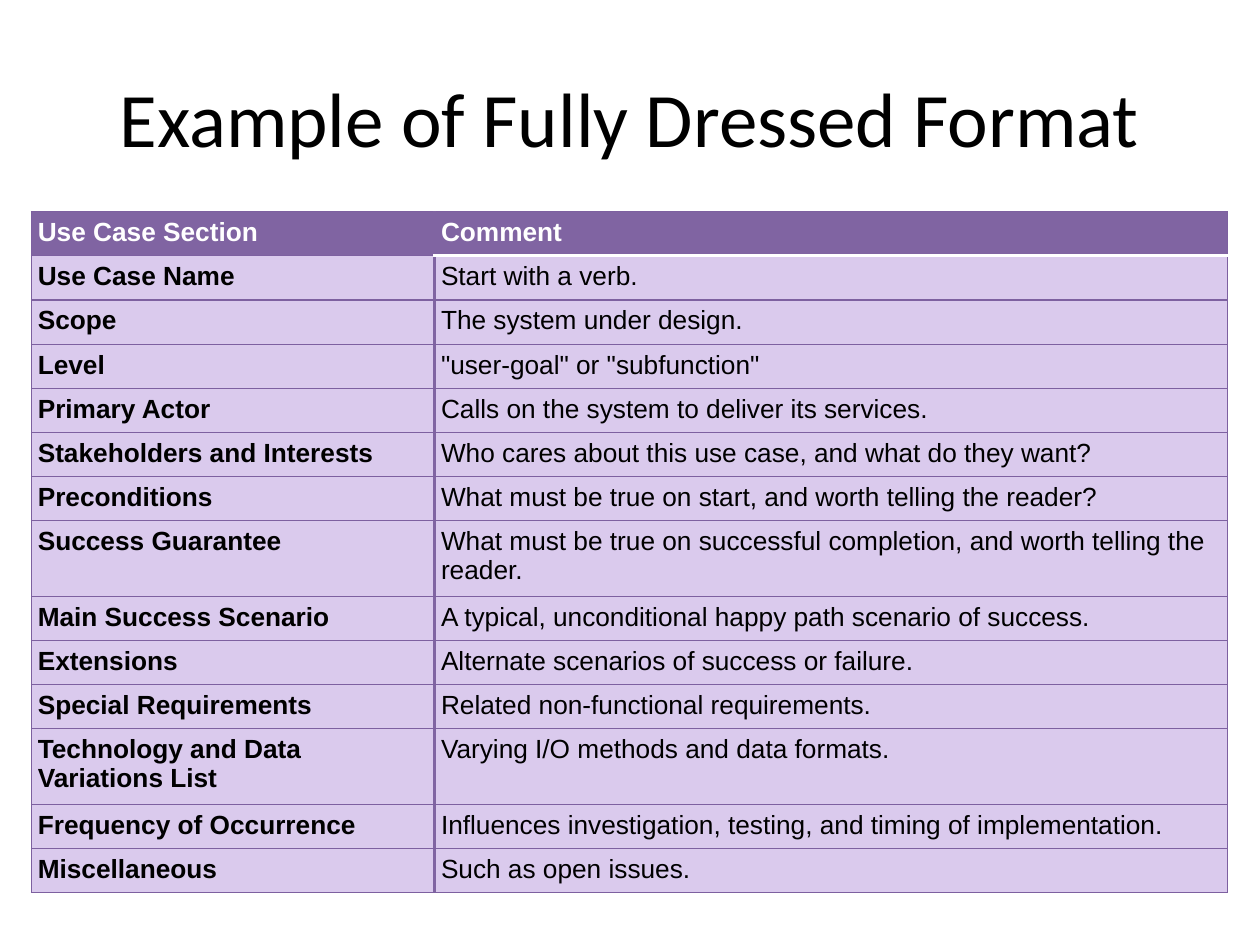
from lxml import etree
from pptx import Presentation
from pptx.dml.color import RGBColor
from pptx.enum import text
from pptx.oxml.ns import qn
from pptx.util import Inches, Pt

COLORS = {"header": "8064A2", "body": "DACAED", "rule": "7D60A0",
          "white": "FFFFFF", "black": "000000"}
WIDTH, HEIGHT = Inches(10), Inches(7.5)

# Row heights as shares of the slide's height
SHORT, NORMAL, DOUBLE = 0.0444, 0.0467, 0.0747
COLUMN_SHARES = (0.32, 0.629)

SECTIONS = [
    ("Use Case Section", "Comment", SHORT),
    ("Use Case Name", "Start with a verb.", SHORT),
    ("Scope", "The system under design.", SHORT),
    ("Level", '"user-goal" or "subfunction"', SHORT),
    ("Primary Actor", "Calls on the system to deliver its services.", NORMAL),
    ("Stakeholders and Interests",
     "Who cares about this use case, and what do they want?", NORMAL),
    ("Preconditions",
     "What must be true on start, and worth telling the reader?", NORMAL),
    ("Success Guarantee",
     "What must be true on successful completion, and worth telling the reader.", DOUBLE),
    ("Main Success Scenario",
     "A typical, unconditional happy path scenario of success.", NORMAL),
    ("Extensions", "Alternate scenarios of success or failure.", NORMAL),
    ("Special Requirements", "Related non-functional requirements.", NORMAL),
    ("Technology and Data Variations List",
     "Varying I/O methods and data formats.", DOUBLE),
    ("Frequency of Occurrence",
     "Influences investigation, testing, and timing of implementation.", NORMAL),
    ("Miscellaneous", "Such as open issues.", SHORT),
]


def color(name):
    return RGBColor.from_string(COLORS[name])


def style_font(paragraph, face, size, ink, bold=False):
    font = paragraph.font
    font.name, font.size, font.bold = face, Pt(size), bold
    font.color.rgb = color(ink)


def set_borders(cell, sides):
    """Draw the sides, given as {side: (colour name, points)}."""
    properties = cell._tc.get_or_add_tcPr()
    for side in "LRTB":
        name, points = sides[side]
        line = etree.SubElement(properties, qn(f"a:ln{side}"), w=str(Pt(points)))
        fill = etree.SubElement(line, qn("a:solidFill"))
        etree.SubElement(fill, qn("a:srgbClr"), val=COLORS[name])


def cell_borders(row, column):
    sides = dict.fromkeys("LRTB", ("rule", 0.75))
    sides["R" if column == 0 else "L"] = ("header", 2)
    # White rule between the comment heading and its first entry
    if column == 1 and row < 2:
        sides["B" if row == 0 else "T"] = ("white", 2)
    return sides


def add_title(slide, left, top, width, height):
    frame = slide.shapes.add_textbox(left, top, width, height).text_frame
    frame.word_wrap = True
    frame.vertical_anchor = text.MSO_ANCHOR.MIDDLE
    heading = frame.paragraphs[0]
    heading.text = "Example of Fully Dressed Format"
    heading.alignment = text.PP_ALIGN.CENTER
    style_font(heading, "Calibri", 44, "black")


def add_sections(slide, left, top, width, height):
    table = slide.shapes.add_table(
        len(SECTIONS), 2, left, top, width, height).table
    for column, share in zip(table.columns, COLUMN_SHARES):
        column.width = int(WIDTH * share)
    for row, (section, comment, share) in enumerate(SECTIONS):
        table.rows[row].height = int(HEIGHT * share)
        for column, wording in enumerate((section, comment)):
            cell = table.cell(row, column)
            cell.margin_left = cell.margin_right = Inches(0.05)
            cell.margin_top = cell.margin_bottom = Inches(0.05)
            set_borders(cell, cell_borders(row, column))
            cell.fill.solid()
            cell.fill.fore_color.rgb = color("header" if row == 0 else "body")
            cell.text = wording
            style_font(cell.text_frame.paragraphs[0], "Arial", 15,
                       "white" if row == 0 else "black",
                       bold=row == 0 or column == 0)


def main():
    deck = Presentation()
    deck.slide_width, deck.slide_height = WIDTH, HEIGHT
    slide = deck.slides.add_slide(deck.slide_layouts[6])

    # Title band
    add_title(slide, int(WIDTH * 0.05), int(HEIGHT * 0.04),
              int(WIDTH * 0.9), int(HEIGHT / 6))
    # Use case table
    add_sections(slide, int(WIDTH * 0.025), int(HEIGHT * 0.224),
                 int(WIDTH * sum(COLUMN_SHARES)),
                 int(HEIGHT * sum(share for _, _, share in SECTIONS)))
    deck.save("out.pptx")


if __name__ == "__main__":
    main()
